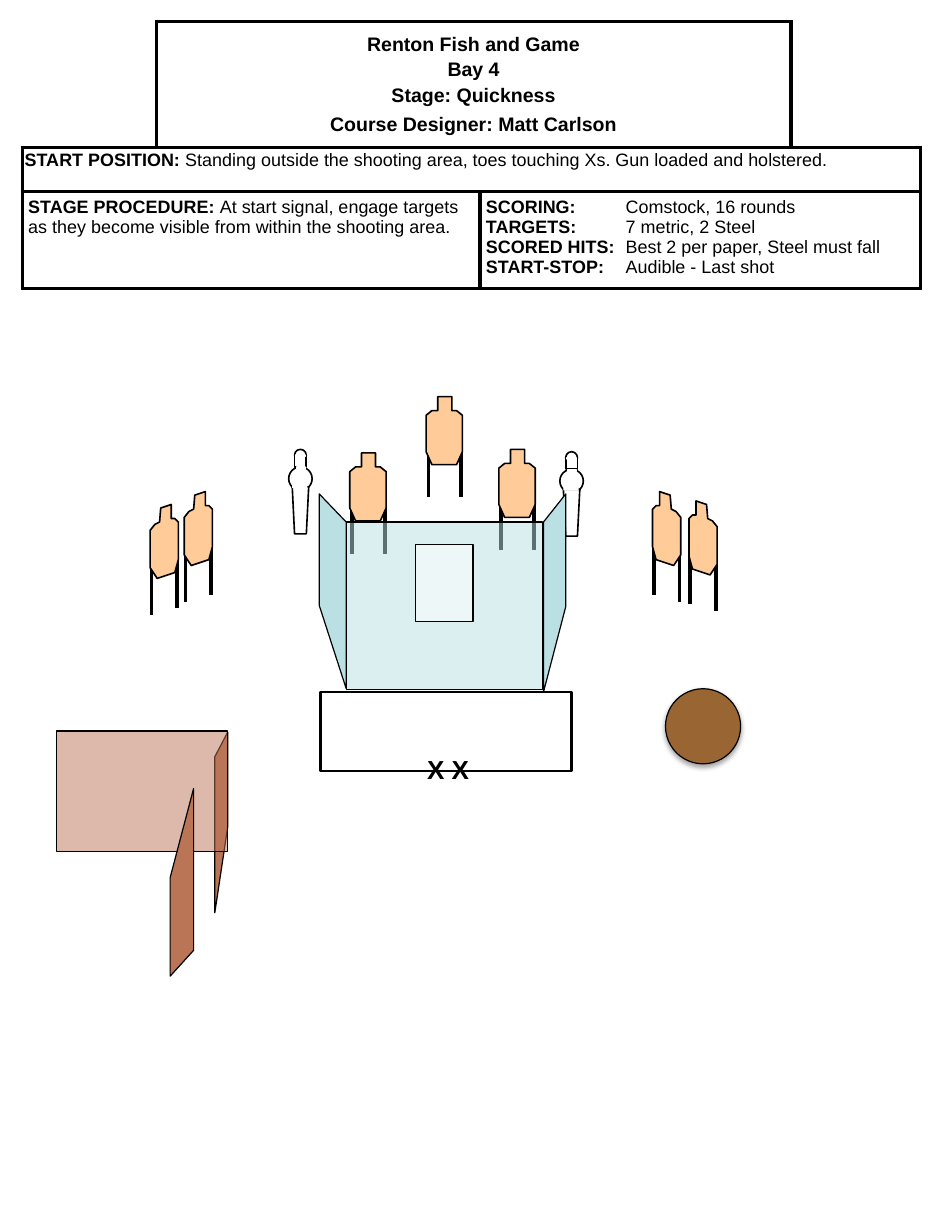
import pptx
import pptx.dml.color
import pptx.enum.shapes
import pptx.enum.text
import pptx.oxml.ns
import pptx.util
from lxml import etree

Inches = pptx.util.Inches
Pt = pptx.util.Pt
RECTANGLE = pptx.enum.shapes.MSO_SHAPE.RECTANGLE
OVAL = pptx.enum.shapes.MSO_SHAPE.OVAL

BLACK, WHITE = "000000", "FFFFFF"
CARDBOARD, GLASS, BRICK, BARREL = "FFCC99", "BBE0E3", "BA7556", "996633"

FRONT_OUTLINE = [
    (0.10, 0), (0.22, 0), (0.22, 0.12), (0.26, 0.12), (0.31, 0.16), (0.31, 0.47),
    (0.26, 0.58), (0.05, 0.58), (0, 0.47), (0, 0.16), (0.05, 0.12), (0.10, 0.12),
]
FRONT_LEGS = [(0.02, 0.43), (0.30, 0.43)]
ANGLED_OUTLINE = [
    (0.09, 0.03), (0.18, 0), (0.18, 0.12), (0.21, 0.12), (0.24, 0.15), (0.24, 0.47),
    (0.21, 0.58), (0.06, 0.63), (0, 0.54), (0, 0.22), (0.04, 0.17), (0.08, 0.15),
]
ANGLED_LEGS = [(0.01, 0.51), (0.23, 0.45)]
ANGLED_WIDTH = 0.24


def rgb(color):
    return pptx.dml.color.RGBColor.from_string(color)


def add_element(parent, tag, **attributes):
    element = etree.SubElement(parent, pptx.oxml.ns.qn(tag))
    for name, value in attributes.items():
        element.set(name, str(value))
    return element


class StageSlide:
    font = "Arial"

    def __init__(self, slide):
        self.shapes = slide.shapes

    def paint(self, shape, fill, line, width, opacity=100):
        shape.shadow.inherit = False
        if fill:
            shape.fill.solid()
            shape.fill.fore_color.rgb = rgb(fill)
            if opacity < 100:
                solid = shape._element.spPr.find(pptx.oxml.ns.qn("a:solidFill"))
                add_element(solid[0], "a:alpha", val=opacity * 1000)
        else:
            shape.fill.background()
        if line:
            shape.line.color.rgb = rgb(line)
            shape.line.width = Pt(width)
        else:
            shape.line.fill.background()
        return shape

    def preset(self, kind, box, fill, line=BLACK, width=0.75, opacity=100, parent=None):
        shape = (parent or self.shapes).add_shape(kind, *map(Inches, box))
        return self.paint(shape, fill, line, width, opacity)

    def polygon(self, points, fill, width=0.75, opacity=100, parent=None):
        corners = [(Inches(x), Inches(y)) for x, y in points]
        builder = (parent or self.shapes).build_freeform(*corners[0])
        builder.add_line_segments(corners[1:], close=True)
        return self.paint(builder.convert_to_shape(), fill, BLACK, width, opacity)

    def leg(self, x, top, length, parent):
        connector = parent.add_connector(
            pptx.enum.shapes.MSO_CONNECTOR.STRAIGHT,
            Inches(x), Inches(top), Inches(x), Inches(top + length))
        connector.line.color.rgb = rgb(BLACK)
        connector.line.width = Pt(2.25)
        add_element(connector._element.spPr, "a:effectLst")

    def target(self, left, top, outline, legs, mirrored=False):
        group = self.shapes.add_group_shape().shapes

        def place(x, y):
            return left + (ANGLED_WIDTH - x if mirrored else x), top + y

        for x, y in legs:
            self.leg(*place(x, y), 0.43, group)
        self.polygon([place(x, y) for x, y in outline], CARDBOARD, 1, parent=group)

    def front_target(self, left, top):
        self.target(left, top, FRONT_OUTLINE, FRONT_LEGS)

    def angled_target(self, left, top, mirrored=False):
        self.target(left, top, ANGLED_OUTLINE, ANGLED_LEGS, mirrored)

    def popper(self, left, top):
        group = self.shapes.add_group_shape().shapes

        def part(kind, x, y, width, height, line=BLACK):
            self.preset(kind, (left + x, top + y, width, height), WHITE, line, 1, parent=group)

        part(OVAL, 0.05, 0, 0.1, 0.1)
        part(OVAL, 0, 0.15, 0.2, 0.2)
        stem = [(0.03, 0.32), (0.17, 0.32), (0.15, 0.72), (0.05, 0.72)]
        self.polygon([(left + x, top + y) for x, y in stem], WHITE, 1, parent=group)
        part(RECTANGLE, 0.05, 0.05, 0.1, 0.1)
        part(RECTANGLE, 0.03, 0.31, 0.13, 0.02, None)
        part(RECTANGLE, 0.07, 0.15, 0.07, 0.02, WHITE)
        part(RECTANGLE, 0.06, 0.05, 0.08, 0.01, WHITE)

    def barrel(self, box):
        shape = self.preset(OVAL, box, BARREL)
        effects = shape._element.spPr.find(pptx.oxml.ns.qn("a:effectLst"))
        shadow = add_element(effects, "a:outerShdw", blurRad=Pt(3.1), dist=Pt(1.8),
                             dir=5400000, rotWithShape=0)
        color = add_element(shadow, "a:srgbClr", val=BLACK)
        add_element(color, "a:alpha", val=35000)

    def add_runs(self, paragraph, runs, size):
        for text, bold in runs:
            run = paragraph.add_run()
            run.text = text
            run.font.name = self.font
            run.font.size = Pt(size)
            run.font.bold = bold
            run.font.color.rgb = rgb(BLACK)

    def label(self, box, text, size):
        frame = self.shapes.add_textbox(*map(Inches, box)).text_frame
        frame.word_wrap = False
        self.add_runs(frame.paragraphs[0], [(text, True)], size)

    def cell_text(self, cell, rows, size, margins=(0.05, 0.05)):
        cell.margin_left = cell.margin_right = Inches(margins[0])
        cell.margin_top = cell.margin_bottom = Inches(margins[1])
        frame = cell.text_frame
        for index, runs in enumerate(rows):
            paragraph = frame.add_paragraph() if index else frame.paragraphs[0]
            self.add_runs(paragraph, runs, size)
        return frame.paragraphs

    def cell_frame(self, cell, sides):
        properties = cell._tc.get_or_add_tcPr()
        for side in "LRTB":
            line = add_element(properties, "a:ln" + side, w=Pt(2.25) if side in sides else 0)
            if side in sides:
                add_element(add_element(line, "a:solidFill"), "a:srgbClr", val=BLACK)
            else:
                add_element(line, "a:noFill")
        cell.fill.solid()
        cell.fill.fore_color.rgb = rgb(WHITE)

    def briefing(self, box, widths, heights):
        table = self.shapes.add_table(3, 4, *map(Inches, box)).table
        for column, width in zip(table.columns, widths):
            column.width = Inches(width)
        for row, height in zip(table.rows, heights):
            row.height = Inches(height)
        open_corners = {(0, 0): "RB", (0, 3): "LB"}
        for row in range(3):
            for column in range(4):
                self.cell_frame(table.cell(row, column), open_corners.get((row, column), "LRTB"))
        for row, first, last in [(0, 1, 2), (1, 0, 3), (2, 0, 1), (2, 2, 3)]:
            table.cell(row, first).merge(table.cell(row, last))

        heading = table.cell(0, 1)
        heading.vertical_anchor = pptx.enum.text.MSO_ANCHOR.MIDDLE
        titles = ["Renton Fish and Game", "Bay 4", "Stage: Quickness", "Course Designer: Matt Carlson"]
        paragraphs = self.cell_text(heading, [[(title, True)] for title in titles], 12)
        for paragraph, space in zip(paragraphs, [0, 2.4, 2.4, 4.2]):
            paragraph.alignment = pptx.enum.text.PP_ALIGN.CENTER
            paragraph.space_before = Pt(space)

        start = [("START POSITION:", True), (" Standing outside the shooting area, "
                 "toes touching Xs. Gun loaded and holstered.", False)]
        self.cell_text(table.cell(1, 0), [start], 11, (0.02, 0.04))[0].line_spacing = 0.9
        procedure = [("STAGE PROCEDURE: ", True), ("At start signal, engage targets as they "
                     "become visible from within the shooting area.", False)]
        self.cell_text(table.cell(2, 0), [procedure], 11)

        scoring = {"SCORING:": "Comstock, 16 rounds", "TARGETS:": "7 metric, 2 Steel",
                   "SCORED HITS:": "Best 2 per paper, Steel must fall",
                   "START-STOP:": "Audible - Last shot"}
        rows = [[(name, True), ("\t" + value, False)] for name, value in scoring.items()]
        for paragraph in self.cell_text(table.cell(2, 2), rows, 11):
            tabs = add_element(paragraph._p.get_or_add_pPr(), "a:tabLst")
            add_element(tabs, "a:tab", pos=Inches(1.19), algn="l")


def main():
    presentation = pptx.Presentation()
    presentation.slide_width = Inches(8)
    presentation.slide_height = Inches(10.5)
    stage = StageSlide(presentation.slides.add_slide(presentation.slide_layouts[6]))

    stage.front_target(4.25, 3.83)
    stage.front_target(2.98, 3.86)
    stage.briefing((0.19, 0.18, 7.65, 2.28), [1.14, 2.76, 2.65, 1.1], [1.08, 0.37, 0.83])
    stage.polygon([(1.94, 7.05), (1.83, 7.78), (1.83, 6.45), (1.94, 6.24)], BRICK)
    stage.polygon([(1.94, 7.26), (0.48, 7.26), (0.48, 6.23), (1.94, 6.23)], BRICK, opacity=50)
    stage.polygon([(1.45, 7.48), (1.65, 6.72), (1.65, 8.1), (1.45, 8.32)], BRICK)
    stage.barrel((5.67, 5.87, 0.64, 0.64))
    stage.polygon([(2.72, 5.16), (2.95, 5.87), (2.95, 4.45), (2.72, 4.21)], GLASS)
    stage.preset(RECTANGLE, (2.73, 5.9, 2.14, 0.67), None, width=1.5)
    stage.preset(RECTANGLE, (2.95, 4.45, 1.67, 1.43), GLASS, opacity=50)
    stage.preset(RECTANGLE, (3.54, 4.64, 0.49, 0.66), WHITE, opacity=50)
    stage.angled_target(1.28, 4.3)
    stage.angled_target(1.57, 4.19)
    stage.popper(2.46, 3.83)
    stage.angled_target(5.87, 4.27, mirrored=True)
    stage.angled_target(5.56, 4.19, mirrored=True)
    stage.popper(4.77, 3.85)
    stage.polygon([(4.82, 5.17), (4.63, 5.9), (4.63, 4.45), (4.82, 4.21)], GLASS)
    stage.front_target(3.63, 3.38)
    stage.label((3.54, 6.37, 0.58, 0.37), "X X", 16)

    presentation.save("out.pptx")


if __name__ == "__main__":
    main()
